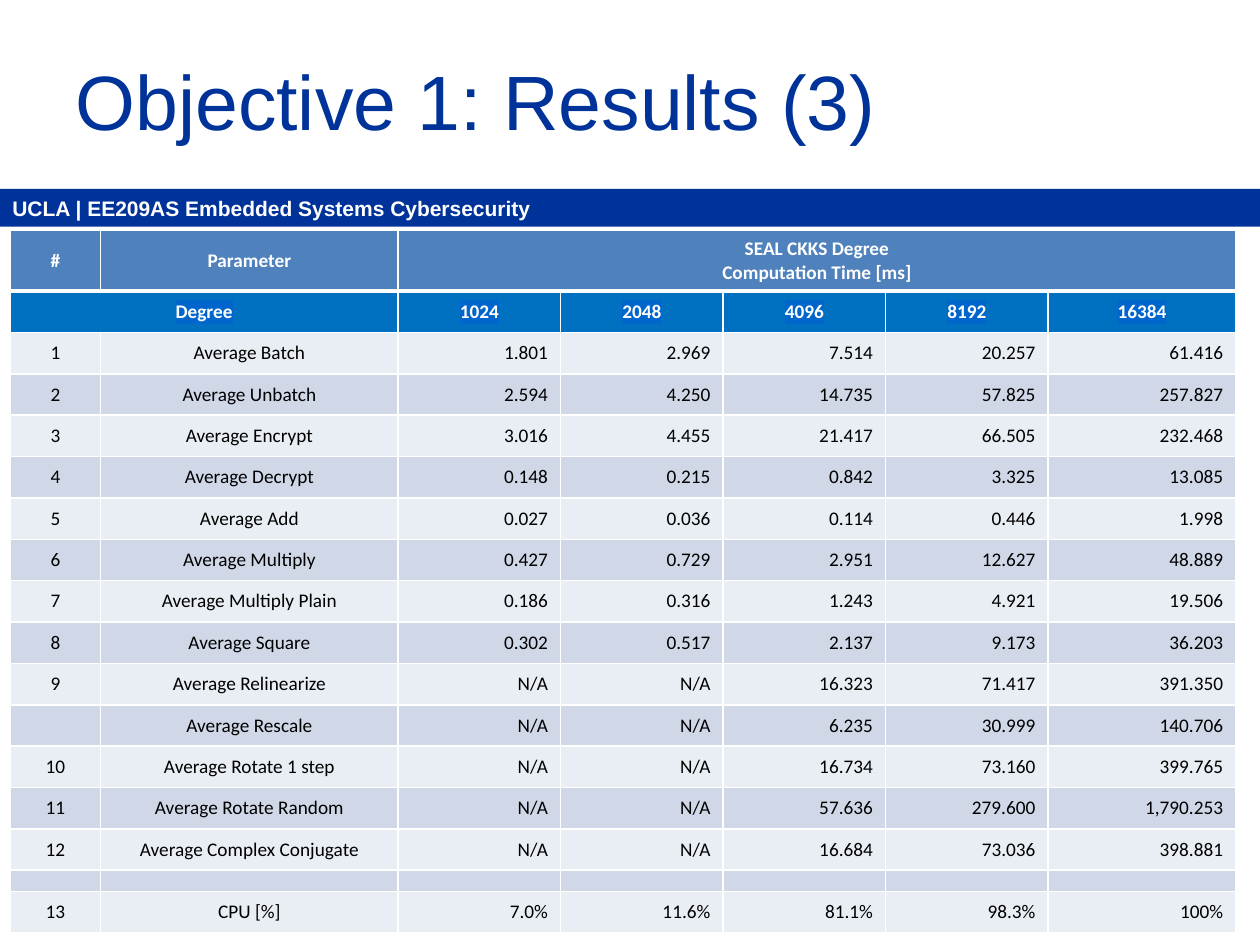
from lxml import etree
from pptx import Presentation
from pptx.dml.color import RGBColor
from pptx.enum.shapes import MSO_SHAPE
from pptx.enum.text import MSO_ANCHOR, PP_ALIGN
from pptx.oxml.ns import qn
from pptx.util import Inches, Pt

COLORS = {
    "navy": "003399", "white": "FFFFFF", "black": "000000", "header": "4F81BD",
    "degree": "0070C0", "highlight": "0066CC", "light": "E9EDF4", "dark": "D0D8E8",
}
CENTER, RIGHT, LEFT = PP_ALIGN.CENTER, PP_ALIGN.RIGHT, PP_ALIGN.LEFT
COLUMN_WIDTHS = [0.72, 2.36, 1.29, 1.29, 1.29, 1.29, 1.49]
TABLE_HEIGHT, HEADER_HEIGHT, SPACER_HEIGHT = 5.58, 0.48, 0.17
ROWS = [
    ["#", "Parameter", "SEAL CKKS Degree\nComputation Time [ms]", "", "", "", ""],
    ["Degree", "", "1024", "2048", "4096", "8192", "16384"],
    ["1", "Average Batch", "1.801", "2.969", "7.514", "20.257", "61.416"],
    ["2", "Average Unbatch", "2.594", "4.250", "14.735", "57.825", "257.827"],
    ["3", "Average Encrypt", "3.016", "4.455", "21.417", "66.505", "232.468"],
    ["4", "Average Decrypt", "0.148", "0.215", "0.842", "3.325", "13.085"],
    ["5", "Average Add", "0.027", "0.036", "0.114", "0.446", "1.998"],
    ["6", "Average Multiply", "0.427", "0.729", "2.951", "12.627", "48.889"],
    ["7", "Average Multiply Plain", "0.186", "0.316", "1.243", "4.921", "19.506"],
    ["8", "Average Square", "0.302", "0.517", "2.137", "9.173", "36.203"],
    ["9", "Average Relinearize", "N/A", "N/A", "16.323", "71.417", "391.350"],
    ["", "Average Rescale", "N/A", "N/A", "6.235", "30.999", "140.706"],
    ["10", "Average Rotate 1 step", "N/A", "N/A", "16.734", "73.160", "399.765"],
    ["11", "Average Rotate Random", "N/A", "N/A", "57.636", "279.600", "1,790.253"],
    ["12", "Average Complex Conjugate", "N/A", "N/A", "16.684", "73.036", "398.881"],
    [""] * 7,
    ["13", "CPU [%]", "7.0%", "11.6%", "81.1%", "98.3%", "100%"],
]


def write_text(frame, text, size=11, font="Calibri", color="black", bold=False,
               align=CENTER, highlight=None):
    """Fill a text frame, one paragraph per line of text."""
    for index, line in enumerate(text.split("\n")):
        paragraph = frame.add_paragraph() if index else frame.paragraphs[0]
        paragraph.alignment = align
        if not line:
            end = etree.SubElement(paragraph._p, qn("a:endParaRPr"))
            end.set("sz", str(size * 100))
            continue
        run = paragraph.add_run()
        run.text = line
        run.font.size, run.font.name, run.font.bold = Pt(size), font, bold
        run.font.color.rgb = RGBColor.from_string(COLORS[color])
        if highlight:
            mark = etree.Element(qn("a:highlight"))
            etree.SubElement(mark, qn("a:srgbClr")).set("val", COLORS[highlight])
            run.font._element.find(qn("a:solidFill")).addnext(mark)


def set_borders(cell, top=1, bottom=1):
    """Draw white cell borders; widths are in points."""
    properties = cell._tc.get_or_add_tcPr()
    for side, width in (("L", 1), ("R", 1), ("T", top), ("B", bottom)):
        line = etree.SubElement(properties, qn(f"a:ln{side}"), w=str(Pt(width)))
        fill = etree.SubElement(line, qn("a:solidFill"))
        etree.SubElement(fill, qn("a:srgbClr")).set("val", COLORS["white"])


presentation = Presentation()
presentation.slide_width, presentation.slide_height = Inches(10), Inches(7.5)
slide = presentation.slides.add_slide(presentation.slide_layouts[5])

title = slide.shapes.title
title.left, title.top = Inches(0.5), Inches(0.17)
title.width, title.height = Inches(9), Inches(1.25)
title.text_frame.vertical_anchor = MSO_ANCHOR.MIDDLE
write_text(title.text_frame, "Objective 1: Results (3)", size=44, font="Arial",
           color="navy", align=LEFT)

course_bar = slide.shapes.add_shape(MSO_SHAPE.RECTANGLE, 0, Inches(1.5), Inches(10), Inches(0.3))
course_bar.shadow.inherit = False
course_bar.fill.solid()
course_bar.fill.fore_color.rgb = RGBColor.from_string(COLORS["navy"])
course_bar.line.fill.background()
write_text(course_bar.text_frame, "UCLA | EE209AS Embedded Systems Cybersecurity",
           size=12, font="Arial", color="white", bold=True, align=LEFT)

table = slide.shapes.add_table(len(ROWS), len(COLUMN_WIDTHS), Inches(0.08), Inches(1.83),
                               Inches(9.75), Inches(TABLE_HEIGHT)).table
for column, width in zip(table.columns, COLUMN_WIDTHS):
    column.width = Inches(width)
row_height = (TABLE_HEIGHT - HEADER_HEIGHT - SPACER_HEIGHT) / (len(ROWS) - 2)

for row_index, values in enumerate(ROWS):
    is_spacer = not any(values)
    height = SPACER_HEIGHT if is_spacer else row_height if row_index else HEADER_HEIGHT
    table.rows[row_index].height = Inches(height)
    for column_index, value in enumerate(values):
        cell = table.cell(row_index, column_index)
        cell.vertical_anchor = MSO_ANCHOR.MIDDLE
        set_borders(cell, top=3 if row_index == 1 else 1, bottom=1 if row_index else 3)
        if row_index < 2:
            fill = ("header", "degree")[row_index]
            style = {"color": "white", "bold": True,
                     "highlight": "highlight" if row_index else None}
        else:
            fill = ("light", "dark")[row_index % 2]
            style = {"align": RIGHT if column_index > 1 else CENTER}
        if is_spacer:
            style["size"] = 6
            cell.margin_top = cell.margin_bottom = 0
        cell.fill.solid()
        cell.fill.fore_color.rgb = RGBColor.from_string(COLORS[fill])
        write_text(cell.text_frame, value, **style)

table.cell(0, 2).merge(table.cell(0, 6))
table.cell(1, 0).merge(table.cell(1, 1))

presentation.save("out.pptx")
